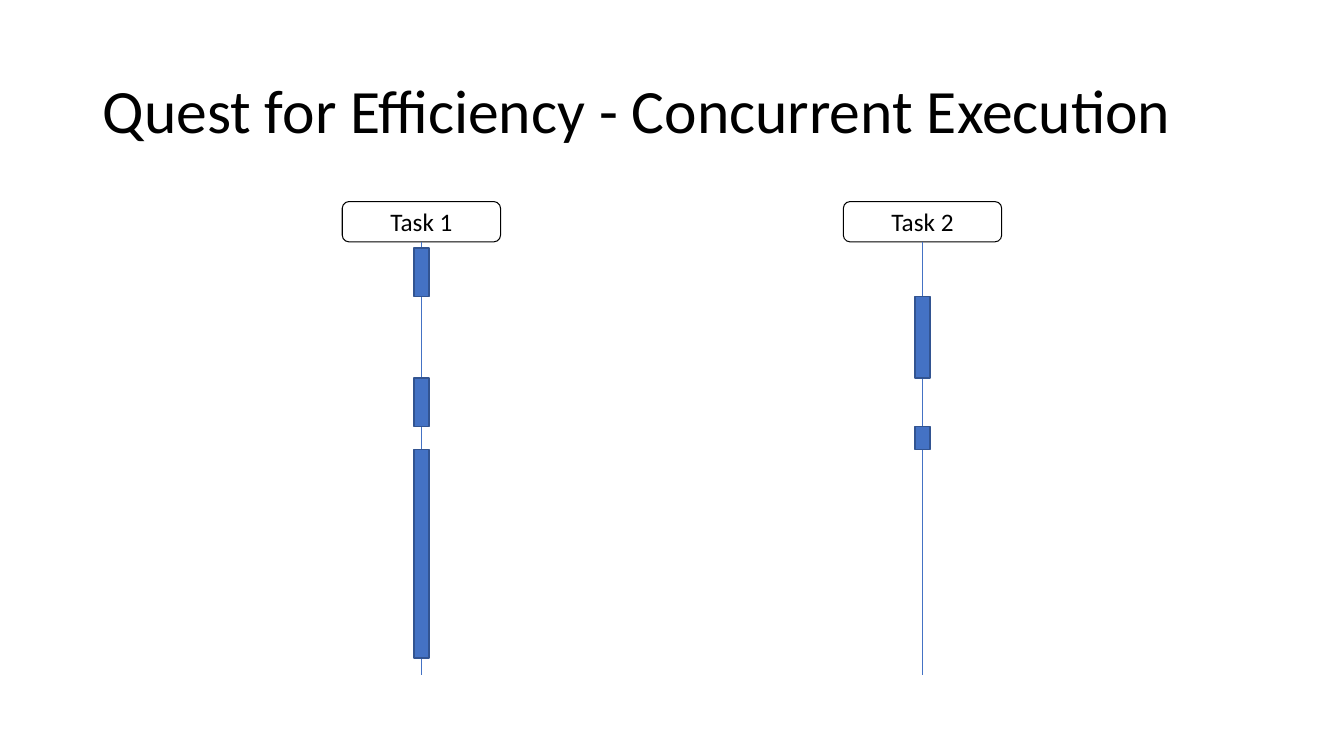
"""Build the slide on concurrent execution of two tasks."""
from dataclasses import dataclass
from itertools import cycle, pairwise

from lxml import etree
from pptx import Presentation
from pptx.dml.color import RGBColor
from pptx.enum.shapes import MSO_CONNECTOR, MSO_SHAPE
from pptx.enum.text import MSO_ANCHOR, PP_ALIGN
from pptx.oxml.ns import qn
from pptx.shapes.autoshape import Shape
from pptx.slide import Slide
from pptx.util import Inches, Pt

HEADER_SHAPE = MSO_SHAPE.FLOWCHART_ALTERNATE_PROCESS
BAR_SHAPE = MSO_SHAPE.RECTANGLE
STRAIGHT = MSO_CONNECTOR.STRAIGHT
CENTER, LEFT = PP_ALIGN.CENTER, PP_ALIGN.LEFT
MIDDLE, TOP = MSO_ANCHOR.MIDDLE, MSO_ANCHOR.TOP


@dataclass(frozen=True)
class Theme:
    """Colours, font and type sizes of the slide."""
    font: str = "Calibri"
    text: RGBColor = RGBColor(0x00, 0x00, 0x00)
    accent: RGBColor = RGBColor(0x44, 0x72, 0xC4)
    bar_edge: RGBColor = RGBColor(0x32, 0x54, 0x91)
    title_size: int = 44
    label_size: int = 18


@dataclass(frozen=True)
class Area:
    """A rectangle in inches."""
    left: float
    top: float
    width: float
    height: float


@dataclass(frozen=True)
class Task:
    """A task lifeline with its name and horizontal centre."""
    name: str
    center: float


THEME = Theme()
TITLE_AREA = Area(0.92, 0.4, 11.5, 1.45)
TASKS = (Task("Task 1", 4.18), Task("Task 2", 9.15))
HEADER_TOP, HEADER_WIDTH, HEADER_HEIGHT = 2, 1.57, 0.4
LIFELINE_END = 6.7
BAR_WIDTH = 0.15
SWITCH_TIMES = (2.46, 2.94, 3.75, 4.23, 4.46, 6.53)


def add_box(page: Slide, kind: MSO_SHAPE, area: Area, edge: RGBColor, weight: float) -> Shape:
    """Add an outlined, unfilled preset shape."""
    box = page.shapes.add_shape(kind, Inches(area.left), Inches(area.top),
                                Inches(area.width), Inches(area.height))
    box.shadow.inherit = False
    box.fill.background()
    box.line.color.rgb = edge
    box.line.width = Pt(weight)
    return box


def add_text(page: Slide, text: str, area: Area, size: int,
             align: PP_ALIGN, anchor: MSO_ANCHOR, spacing: float) -> None:
    """Add a wrapped text box with one paragraph."""
    box = page.shapes.add_textbox(Inches(area.left), Inches(area.top),
                                  Inches(area.width), Inches(area.height))
    frame = box.text_frame
    frame.word_wrap = True
    frame.vertical_anchor = anchor
    frame.text = text
    para = frame.paragraphs[0]
    para.alignment = align
    para.line_spacing = spacing
    font = para.runs[0].font
    font.name = THEME.font
    font.size = Pt(size)
    font.color.rgb = THEME.text


def add_lifeline(page: Slide, task: Task) -> None:
    """Add the header of a task and the line running down from it."""
    area = Area(task.center - HEADER_WIDTH / 2, HEADER_TOP, HEADER_WIDTH, HEADER_HEIGHT)
    add_box(page, HEADER_SHAPE, area, THEME.text, 0.75)
    line = page.shapes.add_connector(STRAIGHT, Inches(task.center),
                                     Inches(HEADER_TOP + HEADER_HEIGHT),
                                     Inches(task.center), Inches(LIFELINE_END))
    line.line.color.rgb = THEME.accent
    line.line.width = Pt(0.5)
    etree.SubElement(line.element.spPr, qn("a:effectLst"))
    add_text(page, task.name, area, THEME.label_size, CENTER, TOP, 1.0)


def add_bar(page: Slide, task: Task, start: float, end: float) -> None:
    """Add a bar for the time during which a task runs."""
    area = Area(task.center - BAR_WIDTH / 2, start, BAR_WIDTH, end - start)
    bar = add_box(page, BAR_SHAPE, area, THEME.bar_edge, 1)
    bar.fill.solid()
    bar.fill.fore_color.rgb = THEME.accent


def main() -> None:
    """Build and save the deck."""
    deck = Presentation()
    deck.slide_width, deck.slide_height = Inches(13.33), Inches(7.5)
    page = deck.slides.add_slide(deck.slide_layouts[6])
    add_text(page, "Quest for Efficiency - Concurrent Execution", TITLE_AREA,
             THEME.title_size, LEFT, MIDDLE, 0.9)
    for task in TASKS:
        add_lifeline(page, task)
    for task, (start, end) in zip(cycle(TASKS), pairwise(SWITCH_TIMES)):
        add_bar(page, task, start, end)
    deck.save("out.pptx")


main()
